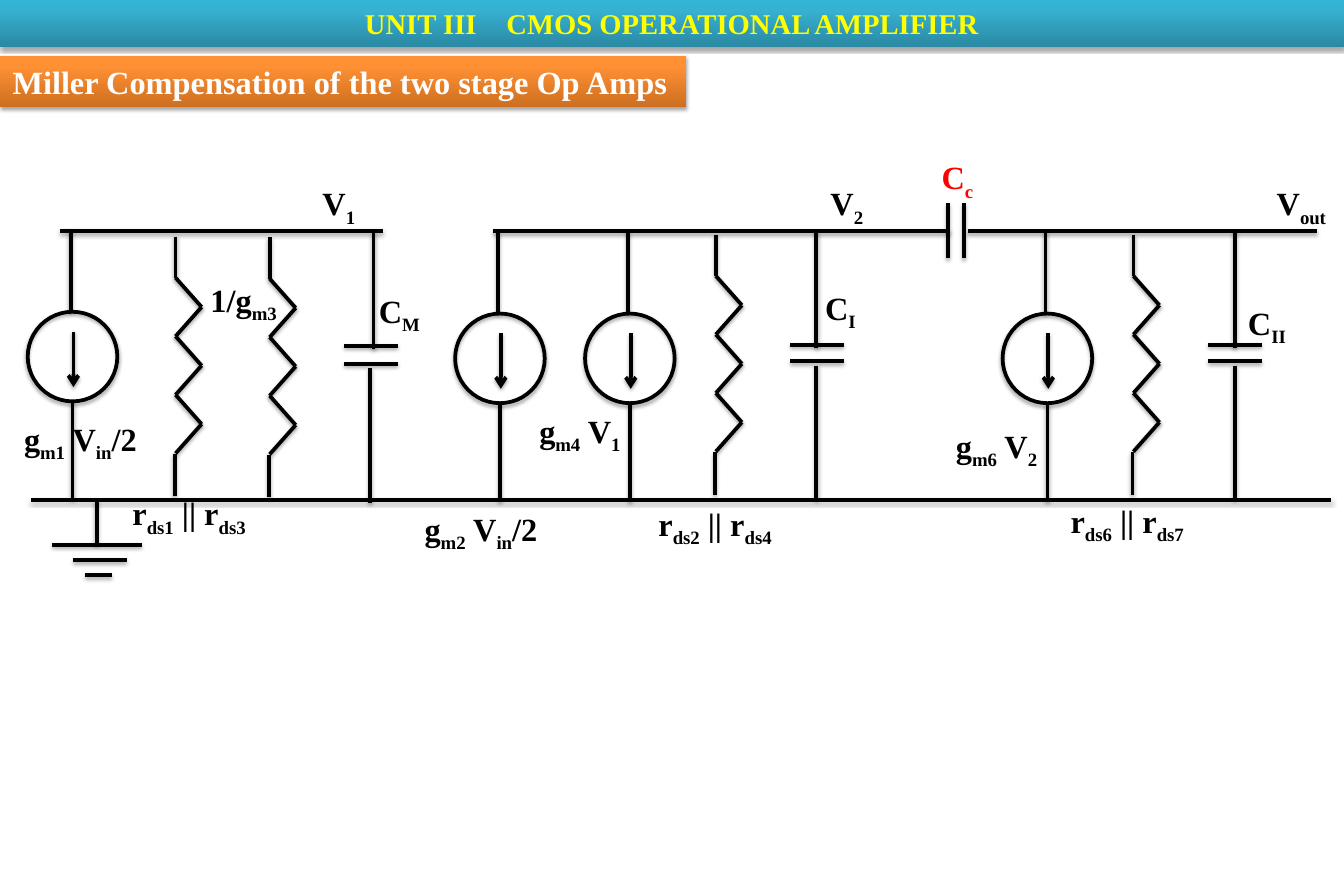
from copy import deepcopy
from lxml.etree import SubElement
from pptx import Presentation
from pptx.dml.color import RGBColor
from pptx.enum.shapes import MSO_CONNECTOR, MSO_SHAPE
from pptx.enum.text import MSO_ANCHOR, MSO_AUTO_SIZE, PP_ALIGN
from pptx.oxml.ns import qn
from pptx.util import Emu, Pt

PX = 9144
FONT = "Times New Roman"
COLORS = {
    "black": "000000", "white": "FFFFFF", "yellow": "FFFF00", "red": "FF0000",
    "orange": ("CC6E20", "FF9034", "FF9136"),
    "teal": ("2A88A2", "37B1D2", "34B4D6"),
}


def px(n):
    """Turn px into EMU."""
    return Emu(round(n * PX))


def rgb(name):
    """Look up a solid colour."""
    return RGBColor.from_string(COLORS[name])


def add_shadow(sp):
    """Give a shape or connector a soft shadow below it."""
    effects = SubElement(sp._element.spPr, qn("a:effectLst"))
    outer = SubElement(effects, qn("a:outerShdw"), blurRad="40000", dist="23000",
                       dir="5400000", rotWithShape="0")
    color = SubElement(outer, qn("a:srgbClr"), val=COLORS["black"])
    SubElement(color, qn("a:alpha"), val="35000")


def set_font(p, size, color):
    """Set the bold serif font of a paragraph."""
    p.font.name, p.font.size, p.font.bold = FONT, Pt(size), True
    p.font.color.rgb = rgb(color)


def bar(sp, box, text, size, color, shades, align, wrap):
    """Format a shape as a gradient heading bar."""
    sp.left, sp.top, sp.width, sp.height = map(px, box)
    sp.fill.gradient()
    sp.fill.gradient_angle = 90
    stops = sp._element.spPr.find(qn("a:gradFill")).find(qn("a:gsLst"))
    stops.append(deepcopy(stops[-1]))
    for stop, position, shade in zip(sp.fill.gradient_stops, (0, 0.8, 1), COLORS[shades]):
        stop.position = position
        stop.color.rgb = RGBColor.from_string(shade)
    sp.line.fill.background()
    add_shadow(sp)
    tf = sp.text_frame
    tf.margin_left = tf.margin_right = px(14)
    tf.margin_top = tf.margin_bottom = px(7)
    tf.auto_size, tf.word_wrap = MSO_AUTO_SIZE.NONE, wrap
    tf.vertical_anchor = MSO_ANCHOR.TOP
    p = tf.paragraphs[0]
    p.text, p.alignment = text, align
    set_font(p, size, color)


def line(s, x1, y1, x2, y2, arrow=False):
    """Draw one wire, with an arrowhead at its end if asked."""
    c = s.shapes.add_connector(MSO_CONNECTOR.STRAIGHT, px(x1), px(y1), px(x2), px(y2))
    c.line.color.rgb, c.line.width = rgb("black"), Pt(3)
    if arrow:
        SubElement(c.line._get_or_add_ln(), qn("a:tailEnd"), type="arrow")
    add_shadow(c)


def label(s, x, y, w, text, color="black"):
    """Write a label whose parts between underscores are subscripts."""
    tf = s.shapes.add_textbox(px(x), px(y), px(w), px(54)).text_frame
    tf.word_wrap, tf.auto_size = False, MSO_AUTO_SIZE.SHAPE_TO_FIT_TEXT
    p = tf.paragraphs[0]
    for i, part in enumerate(text.split("_")):
        if part:
            r = p.add_run()
            r.text = part
            if i % 2:
                r._r.get_or_add_rPr().set("baseline", "-25000")
    set_font(p, 26, color)


def current_source(s, x, y):
    """Draw a current source with its circle at x, y."""
    sp = s.shapes.add_shape(MSO_SHAPE.OVAL, px(x), px(y), px(100), px(100))
    sp.fill.background()
    sp.line.color.rgb, sp.line.width = rgb("black"), Pt(3)
    add_shadow(sp)
    line(s, x + 51, y + 22, x + 51, y + 84, arrow=True)
    line(s, x + 48, y - 92, x + 48, y)
    line(s, x + 50, y + 100, x + 50, y + 210)


def resistor(s, x, y):
    """Draw a zigzag resistor with its upper lead at x, y."""
    zigzag = [(x + 29 * (i % 2), y + 46 + 196 * i / 6) for i in range(7)]
    for start, end in zip(zigzag, zigzag[1:]):
        line(s, *start, *end)
    line(s, x, y, x, y + 46)
    line(s, x - 1, y + 243, x - 1, y + 290)


def capacitor(s, x, y, gap=18, top=29, bottom=29):
    """Draw a capacitor with its upper plate at x, y."""
    for plate in (y, y + gap):
        line(s, x, plate, x + 60, plate)
    line(s, x + top, y - 127, x + top, y + 3)
    line(s, x + bottom, y + gap + 5, x + bottom, y + gap + 155)


def ground(s, x, y):
    """Draw the ground symbol hanging from x, y."""
    line(s, x, y, x, y + 50)
    for left, right, drop in ((-50, 50, 50), (-26, 34, 67), (-13, 17, 84)):
        line(s, x + left, y + drop, x + right, y + drop)


def input_stage(s, x, y):
    """Draw the mirror stage from the left end of its top wire."""
    line(s, x, y, x + 360, y)
    current_source(s, x - 36, y + 90)
    resistor(s, x + 129, y + 6)
    resistor(s, x + 234, y + 7)
    capacitor(s, x + 317, y + 128, gap=20, top=33)
    label(s, x - 50, y + 205, 153, "g_m1_ V_in_/2")
    label(s, x + 158, y + 50, 99, "1/g_m3_")
    label(s, x + 346, y + 62, 69, "C_M_")
    label(s, x + 283, y - 58, 59, "V_1_")
    label(s, x + 71, y + 288, 157, "r_ds1_ || r_ds3_")


def first_stage(s, x, y):
    """Draw the first gain stage from the left end of its top wire."""
    line(s, x, y, x + 510, y)
    for left in (-42, 103):
        current_source(s, x + left, y + 92)
    resistor(s, x + 249, y + 4)
    capacitor(s, x + 332, y + 127)
    label(s, x - 86, y + 305, 153, "g_m2_ V_in_/2")
    label(s, x + 42, y + 196, 118, "g_m4_ V_1_")
    label(s, x + 175, y + 300, 157, "r_ds2_ || r_ds4_")
    label(s, x + 361, y + 59, 56, "C_I_")
    label(s, x + 367, y - 58, 59, "V_2_")


def output_stage(s, x, y):
    """Draw the output stage and coupling capacitor from its top wire."""
    line(s, x, y, x + 390, y)
    for plate in (x - 22, x - 4):
        line(s, plate, y - 31, plate, y + 30)
    current_source(s, x + 39, y + 92)
    resistor(s, x + 185, y + 4)
    capacitor(s, x + 268, y + 127, top=30, bottom=30)
    label(s, x - 39, y - 87, 57, "C_c_", "red")
    label(s, x - 23, y + 213, 118, "g_m6_ V_2_")
    label(s, x + 105, y + 296, 157, "r_ds6_ || r_ds7_")
    label(s, x + 303, y + 75, 65, "C_II_")
    label(s, x + 335, y - 58, 77, "V_out_")


def main():
    """Build the slide."""
    prs = Presentation()
    prs.slide_width, prs.slide_height = px(1500), px(1000)
    s = prs.slides.add_slide(prs.slide_layouts[5])
    bar(s.shapes.title, (0, 62, 766, 58), "Miller Compensation of the two stage Op Amps",
        26, "white", "orange", PP_ALIGN.LEFT, False)
    unit = s.shapes.add_shape(MSO_SHAPE.RECTANGLE, 0, 0, px(1500), px(53))
    bar(unit, (0, 0, 1500, 53), "UNIT III\t CMOS OPERATIONAL AMPLIFIER",
        23, "yellow", "teal", PP_ALIGN.CENTER, True)
    line(s, 35, 558, 1485, 558)
    ground(s, 108, 558)
    input_stage(s, 67, 258)
    first_stage(s, 550, 258)
    output_stage(s, 1080, 258)
    prs.save("out.pptx")


if __name__ == "__main__":
    main()
